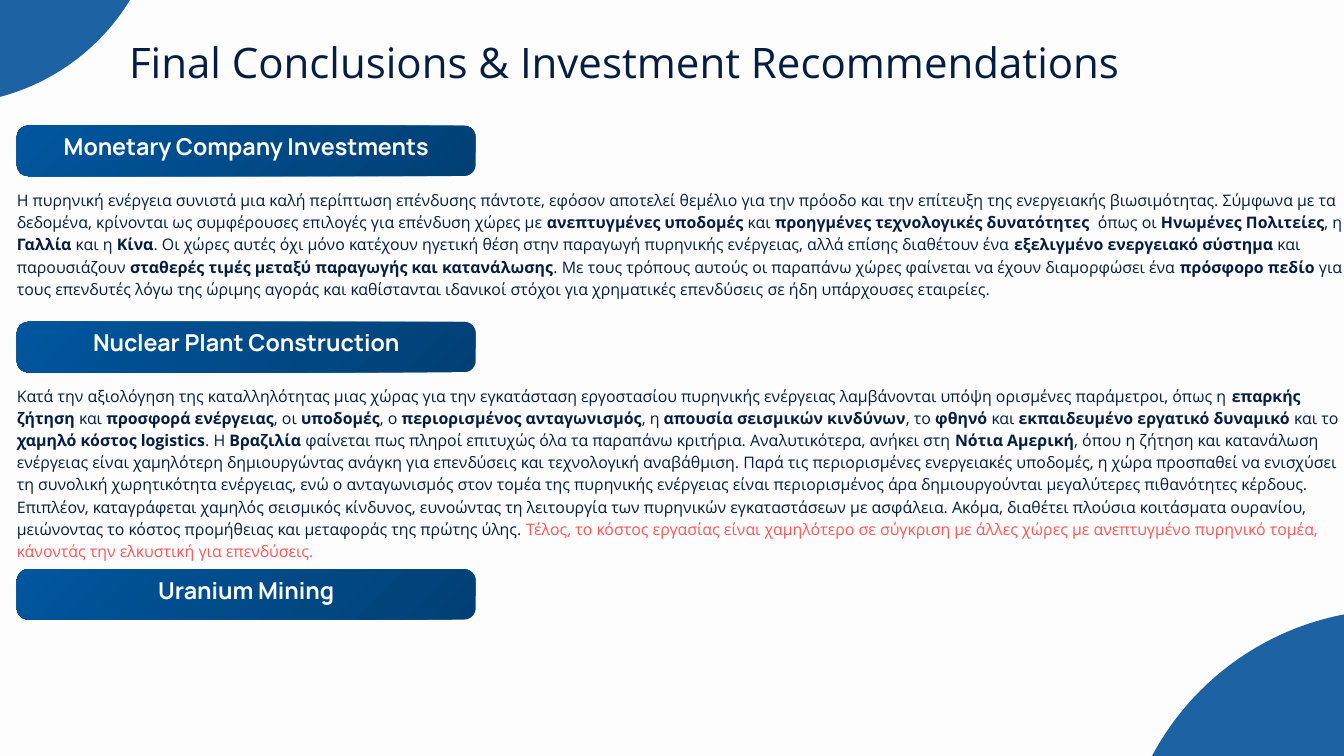
import pptx
import pptx.dml.color
import pptx.enum.shapes
import pptx.enum.text
import pptx.oxml
import pptx.oxml.ns
import pptx.util

Inches = pptx.util.Inches
Pt = pptx.util.Pt
Align = pptx.enum.text.PP_ALIGN
Anchor = pptx.enum.text.MSO_ANCHOR
Preset = pptx.enum.shapes.MSO_SHAPE

NAVY, WHITE, RED = "051D40", "FFFFFF", "FF5757"
CIRCLE_BLUE, BAR_LIGHT, BAR_DARK = "145DA0", "00569E", "014074"
LEFT, BAR_WIDTH, BAR_HEIGHT = 0.25, 6.83, 0.75
BOLD_MARK = "**"

TITLE = "Final Conclusions & Investment Recommendations"
CIRCLES = [(-4.07, -4.93, 6.48), (16.66, 9.07, 8.23)]

SECTIONS = [
    {
        "top": 1.87,
        "heading": "Monetary Company Investments",
        "box": (2.79, 19.75, 1.6),
        "sentences": [
            "Η πυρηνική ενέργεια συνιστά μια καλή περίπτωση επένδυσης πάντοτε, εφόσον αποτελεί "
            "θεμέλιο για την πρόοδο και την επίτευξη της ενεργειακής βιωσιμότητας.",
            "Σύμφωνα με τα δεδομένα, κρίνονται ως συμφέρουσες επιλογές για επένδυση χώρες με "
            "**ανεπτυγμένες υποδομές** και **προηγμένες τεχνολογικές δυνατότητες**  όπως οι "
            "**Ηνωμένες Πολιτείες**, η **Γαλλία** και η **Κίνα**.",
            "Οι χώρες αυτές όχι μόνο κατέχουν ηγετική θέση στην παραγωγή πυρηνικής ενέργειας, "
            "αλλά επίσης διαθέτουν ένα **εξελιγμένο ενεργειακό σύστημα** και παρουσιάζουν "
            "**σταθερές τιμές μεταξύ παραγωγής και κατανάλωσης**.",
            "Με τους τρόπους αυτούς οι παραπάνω χώρες φαίνεται να έχουν διαμορφώσει ένα "
            "**πρόσφορο πεδίο** για τους επενδυτές λόγω της ώριμης αγοράς και καθίστανται "
            "ιδανικοί στόχοι για χρηματικές επενδύσεις σε ήδη υπάρχουσες εταιρείες.",
        ],
    },
    {
        "top": 4.79,
        "heading": "Nuclear Plant Construction",
        "box": (5.7, 19.7, 2.57),
        "sentences": [
            "Κατά την αξιολόγηση της καταλληλότητας μιας χώρας για την εγκατάσταση εργοστασίου "
            "πυρηνικής ενέργειας λαμβάνονται υπόψη ορισμένες παράμετροι, όπως η **επαρκής "
            "ζήτηση** και **προσφορά ενέργειας**, οι **υποδομές**, ο **περιορισμένος "
            "ανταγωνισμός**, η **απουσία σεισμικών κινδύνων**, το **φθηνό **και **εκπαιδευμένο "
            "εργατικό δυναμικό** και το **χαμηλό κόστος logistics**.",
            "Η **Βραζιλία** φαίνεται πως πληροί επιτυχώς όλα τα παραπάνω κριτήρια.",
            "Αναλυτικότερα, ανήκει στη **Νότια Αμερική**, όπου η ζήτηση και κατανάλωση ενέργειας "
            "είναι χαμηλότερη δημιουργώντας ανάγκη για επενδύσεις και τεχνολογική αναβάθμιση.",
            "Παρά τις περιορισμένες ενεργειακές υποδομές, η χώρα προσπαθεί να ενισχύσει τη "
            "συνολική χωρητικότητα ενέργειας, ενώ ο ανταγωνισμός στον τομέα της πυρηνικής "
            "ενέργειας είναι περιορισμένος άρα δημιουργούνται μεγαλύτερες πιθανότητες κέρδους.",
            "Επιπλέον, καταγράφεται χαμηλός σεισμικός κίνδυνος, ευνοώντας τη λειτουργία των "
            "πυρηνικών εγκαταστάσεων με ασφάλεια.",
            "Ακόμα, διαθέτει πλούσια κοιτάσματα ουρανίου, μειώνοντας το κόστος προμήθειας και "
            "μεταφοράς της πρώτης ύλης.",
        ],
        "highlight": " Τέλος, το κόστος εργασίας είναι χαμηλότερο σε σύγκριση με άλλες χώρες με "
                     "ανεπτυγμένο πυρηνικό τομέα, κάνοντάς την ελκυστική για επενδύσεις.",
    },
    {"top": 8.47, "heading": "Uranium Mining"},
]


def color(value):
    return pptx.dml.color.RGBColor.from_string(value)


def write(shape, text, highlight="", size=17, font="Open Sans", ink=NAVY, bold=False,
          spacing=23.8, align=Align.LEFT, anchor=Anchor.TOP, bottom=0):
    frame = shape.text_frame
    frame.word_wrap = True
    frame.auto_size = pptx.enum.text.MSO_AUTO_SIZE.NONE
    frame.vertical_anchor = anchor
    frame.margin_left = frame.margin_right = frame.margin_top = 0
    frame.margin_bottom = Inches(bottom)
    para = frame.paragraphs[0]
    para.alignment = align
    para.line_spacing = Pt(spacing)
    para.space_before = Pt(0)
    pieces = [(part, bold or index % 2 == 1, ink)
              for index, part in enumerate(text.split(BOLD_MARK))]
    if highlight:
        pieces.append((highlight, bold, RED))
    for part, strong, tint in pieces:
        span = para.add_run()
        span.text = part
        span.font.name = font
        span.font.size = Pt(size)
        span.font.bold = strong
        span.font.color.rgb = color(tint)


def add_plain_shape(page, preset, left, top, width, height):
    shape = page.shapes.add_shape(preset, Inches(left), Inches(top), Inches(width), Inches(height))
    shape.shadow.inherit = False
    shape.line.fill.background()
    return shape


def add_circle(page, left, top, size):
    circle = add_plain_shape(page, Preset.OVAL, left, top, size, size)
    circle.fill.solid()
    circle.fill.fore_color.rgb = color(CIRCLE_BLUE)
    tint = circle.element.spPr.find(".//" + pptx.oxml.ns.qn("a:srgbClr"))
    tint.append(pptx.oxml.parse_xml(f'<a:alpha {pptx.oxml.ns.nsdecls("a")} val="96000"/>'))


def add_heading(page, top, heading):
    bar = add_plain_shape(page, Preset.ROUNDED_RECTANGLE, LEFT, top, BAR_WIDTH, BAR_HEIGHT)
    bar.adjustments[0] = 0.23
    bar.fill.gradient()
    for stop, position, tint in zip(bar.fill.gradient_stops, (0, 1), (BAR_LIGHT, BAR_DARK)):
        stop.position = position
        stop.color.rgb = color(tint)
    linear = bar.element.spPr.find(".//" + pptx.oxml.ns.qn("a:lin"))
    radial = pptx.oxml.parse_xml(
        f'<a:path {pptx.oxml.ns.nsdecls("a")} path="circle">'
        '<a:fillToRect l="0" t="0" r="100000" b="100000"/></a:path>')
    linear.getparent().replace(linear, radial)
    write(bar, heading, size=24.9, font="Manrope", ink=WHITE, bold=True, spacing=34.8,
          align=Align.CENTER, anchor=Anchor.MIDDLE, bottom=0.2)


def main():
    deck = pptx.Presentation()
    deck.slide_width, deck.slide_height = Inches(20), Inches(11.25)
    page = deck.slides.add_slide(deck.slide_layouts[5])
    page.background.fill.solid()
    page.background.fill.fore_color.rgb = color("FDFDFD")

    for circle in CIRCLES:
        add_circle(page, *circle)

    title = page.shapes.title
    title.left, title.top = Inches(1.92), Inches(0.42)
    title.width, title.height = Inches(16.5), Inches(0.84)
    write(title, TITLE, size=45, spacing=63)

    for section in SECTIONS:
        add_heading(page, section["top"], section["heading"])
        if "sentences" in section:
            top, width, height = section["box"]
            box = page.shapes.add_textbox(Inches(LEFT), Inches(top), Inches(width), Inches(height))
            write(box, " ".join(section["sentences"]), highlight=section.get("highlight", ""))

    deck.save("out.pptx")


if __name__ == "__main__":
    main()
